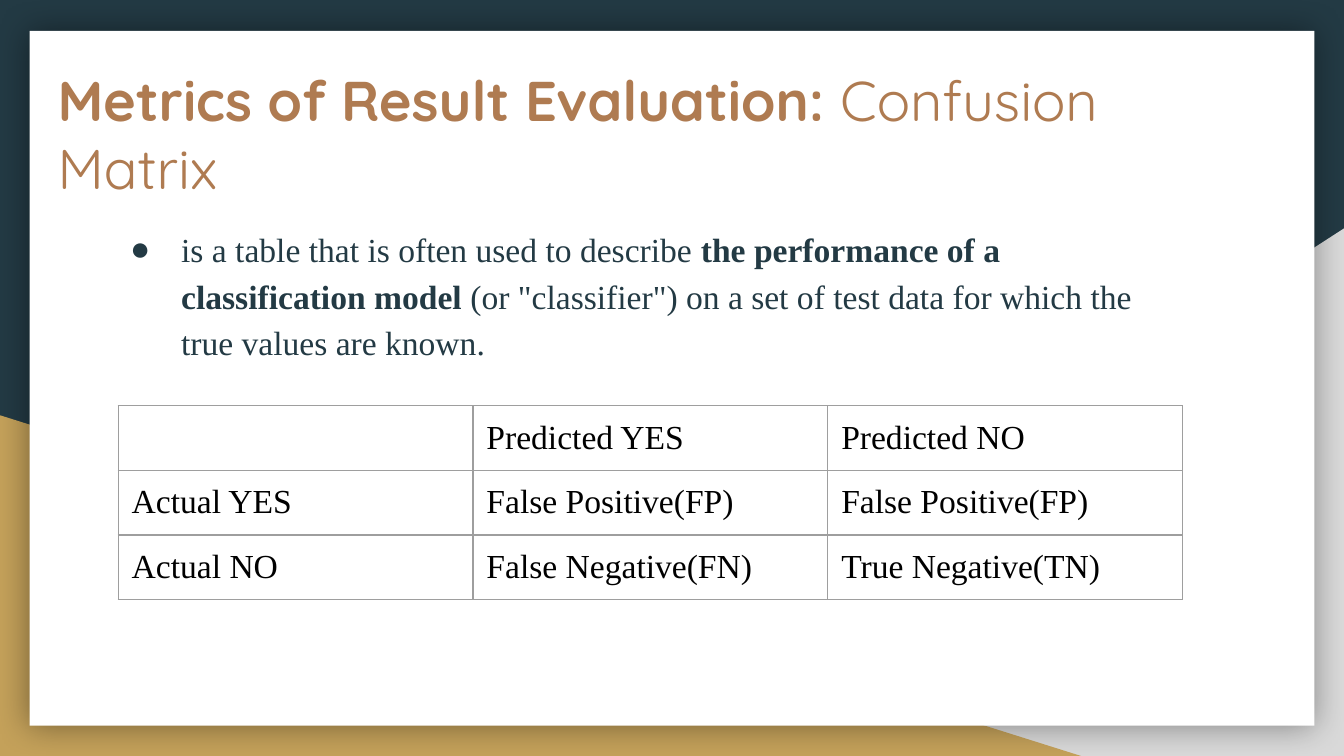
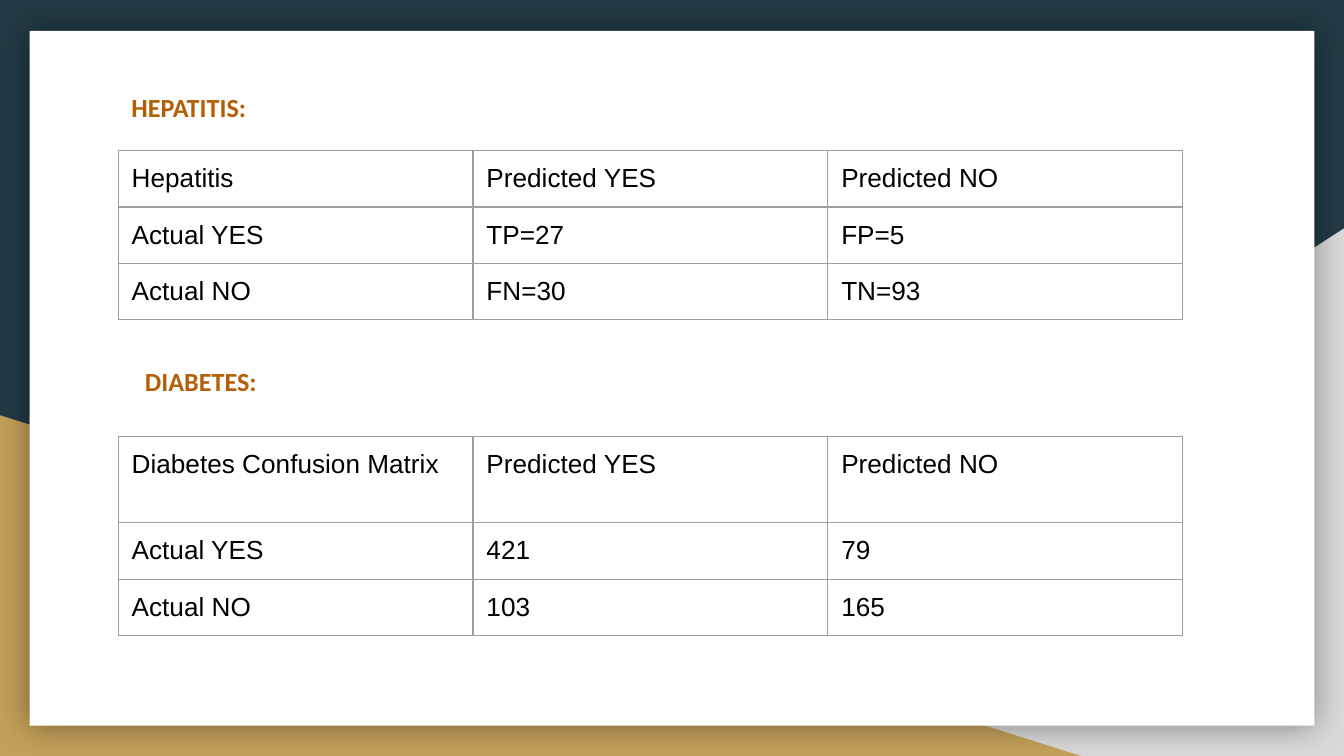
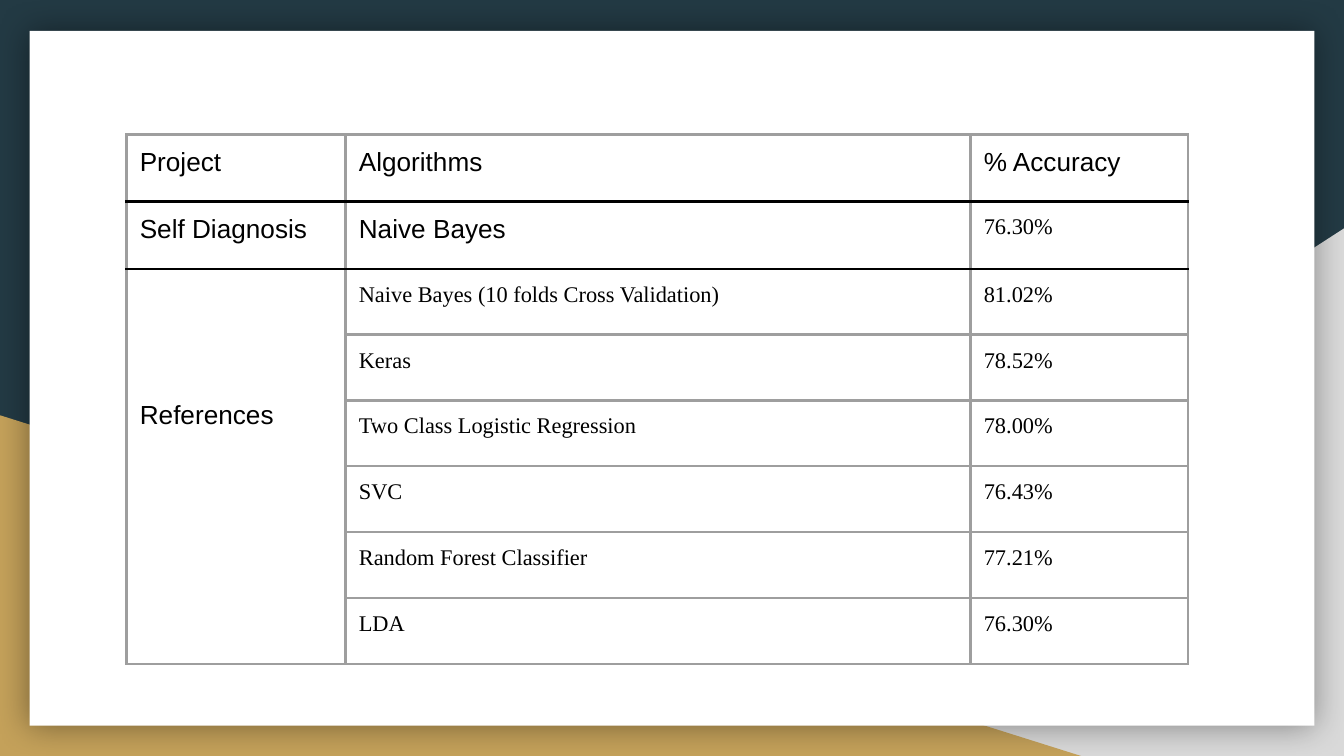
from lxml.etree import SubElement
from pptx import Presentation
from pptx.dml.color import RGBColor
from pptx.enum.shapes import MSO_SHAPE
from pptx.oxml.ns import qn
from pptx.util import Inches, Pt

WIDTH = 10
HEIGHT = WIDTH * 9 / 16
INSET = 0.1
COLORS = {
    "navy": "233A44", "gold": "C4A15A", "silver": "D9D9D9", "white": "FFFFFF",
    "title": "AF7B51", "label": "B45F06", "grid": "9E9E9E", "black": "000000",
}
SERIF, SANS = "Times New Roman", "Arial"
THIRDS = [2.64] * 3


def rgb(name):
    return RGBColor.from_string(COLORS[name])


def style_span(span, font, size, color, bold=False):
    span.font.name = font
    span.font.size = Pt(size)
    span.font.bold = bold
    span.font.color.rgb = rgb(color)


# Shared backdrop: two corner triangles and a white card
def add_panel(page, kind, left, top, width, height, color):
    panel = page.shapes.add_shape(
        kind, Inches(left), Inches(top), Inches(width), Inches(height))
    panel.shadow.inherit = False
    panel.fill.solid()
    panel.fill.fore_color.rgb = rgb(color)
    panel.line.fill.background()
    return panel


def add_glow(panel, blur, opacity):
    effects = panel._element.spPr.find(qn("a:effectLst"))
    shadow = SubElement(effects, qn("a:outerShdw"), blurRad=str(Pt(blur)),
                        dist="0", dir="0", algn="ctr", rotWithShape="0")
    color = SubElement(shadow, qn("a:srgbClr"), val=COLORS["black"])
    SubElement(color, qn("a:alpha"), val=str(opacity * 1000))


def add_page(deck):
    page = deck.slides.add_slide(deck.slide_layouts[6])
    page.background.fill.solid()
    page.background.fill.fore_color.rgb = rgb("navy")
    corner = add_panel(page, MSO_SHAPE.RIGHT_TRIANGLE, 3.92, 1.7, 6.08, 3.93, "silver")
    corner._element.spPr.xfrm.set("flipH", "1")
    add_panel(page, MSO_SHAPE.RIGHT_TRIANGLE, 0, 3.09, 8.06, 2.54, "gold")
    card = add_panel(page, MSO_SHAPE.RECTANGLE, 0.22, 0.23, 9.56, 5.17, "white")
    add_glow(card, 18, 40)
    return page


# Text: each part is a pair of wording and boldness
def add_text(page, left, top, width, height, parts, font, size, color):
    box = page.shapes.add_textbox(
        Inches(left), Inches(top), Inches(width), Inches(height))
    frame = box.text_frame
    frame.word_wrap = True
    frame.margin_left = frame.margin_right = Inches(INSET)
    frame.margin_top = frame.margin_bottom = Inches(INSET)
    para = frame.paragraphs[0]
    for wording, bold in parts:
        span = para.add_run()
        span.text = wording
        style_span(span, font, size, color, bold)
    return para


def add_bullet(para, color, font):
    para.line_spacing = 1.15
    settings = para._p.get_or_add_pPr()
    settings.set("marL", str(Inches(0.5)))
    settings.set("indent", str(Inches(-0.38)))
    bullet_color = SubElement(settings, qn("a:buClr"))
    SubElement(bullet_color, qn("a:srgbClr"), val=COLORS[color])
    SubElement(settings, qn("a:buFont"), typeface=font)
    SubElement(settings, qn("a:buChar"), char="●")


def add_label(page, left, top, wording):
    add_text(page, left, top, 1.77, 0.41, [(wording, True)], "Calibri", 14, "label")


# Tables
def set_borders(cell, weight, top="grid", bottom="grid"):
    sides = {"lnL": "grid", "lnR": "grid", "lnT": top, "lnB": bottom}
    for side, color in sides.items():
        line = SubElement(cell._tc.get_or_add_tcPr(), qn("a:" + side), w=str(Pt(weight)))
        fill = SubElement(line, qn("a:solidFill"))
        SubElement(fill, qn("a:srgbClr"), val=COLORS[color])


def fill_cell(cell, wording, font, size):
    cell.margin_left = cell.margin_right = cell.margin_top = Inches(INSET)
    cell.margin_bottom = Inches(0.08)  # keeps the rows at their set height
    cell.fill.background()
    cell.text_frame.text = wording
    para = cell.text_frame.paragraphs[0]
    for span in para.runs:
        style_span(span, font, size, "black")
    if not wording:
        SubElement(para._p, qn("a:endParaRPr"), sz=str(size * 100))


def add_grid(page, left, top, columns, heights, rows, font_at, weight=0.75, dark_rules=()):
    """font_at(row, column) gives font and size; dark_rules are rows with a black rule below."""
    frame = page.shapes.add_table(
        len(rows), len(columns), Inches(left), Inches(top),
        Inches(sum(columns)), Inches(sum(heights)))
    table = frame.table
    table.first_row = table.horz_banding = False
    for column, width in zip(table.columns, columns):
        column.width = Inches(width)
    for row, height in zip(table.rows, heights):
        row.height = Inches(height)
    for r, row in enumerate(rows):
        for c, wording in enumerate(row):
            cell = table.cell(r, c)
            set_borders(cell, weight,
                        top="black" if r - 1 in dark_rules else "grid",
                        bottom="black" if r in dark_rules else "grid")
            fill_cell(cell, wording, *font_at(r, c))
    return table


def confusion_rows(corner, actual_yes, actual_no):
    return [[corner, "Predicted YES", "Predicted NO"],
            ["Actual YES", *actual_yes],
            ["Actual NO", *actual_no]]


# Slides
def build_definition(deck):
    page = add_page(deck)
    add_text(page, 0.33, 0.39, 9.12, 0.72,
             [("Metrics of Result Evaluation: ", True), ("Confusion Matrix", False)],
             "Quicksand", 30, "title")
    para = add_text(page, 0.75, 1.56, 7.9, 1.25, [
        ("is a table that is often used to describe ", False),
        ("the performance of a classification model", True),
        (' (or "classifier") on a set of test data for which the true values are known.', False),
    ], SERIF, 18, "navy")
    add_bullet(para, "navy", SERIF)
    rows = confusion_rows("", ["False Positive(FP)"] * 2,
                          ["False Negative(FN)", "True Negative(TN)"])
    add_grid(page, 0.88, 3.02, THIRDS, [0.42] * 3, rows, lambda r, c: (SERIF, 18))


def build_matrices(deck):
    page = add_page(deck)
    hepatitis = confusion_rows("Hepatitis", ["TP=27", "FP=5"], ["FN=30", "TN=93"])
    diabetes = confusion_rows("Diabetes Confusion Matrix", ["421", "79"], ["103", "165"])
    for top, first_height, rows in [(1.12, 0.42, hepatitis), (3.25, 0.64, diabetes)]:
        add_grid(page, 0.88, top, THIRDS, [first_height, 0.42, 0.42], rows,
                 lambda r, c: (SANS, 14))
    add_label(page, 0.88, 0.58, "HEPATITIS:")
    add_label(page, 0.98, 2.62, "DIABETES:")


def build_accuracy(deck):
    page = add_page(deck)
    references = [
        ("Naive Bayes (10 folds Cross Validation)", "81.02%"),
        ("Keras", "78.52%"),
        ("Two Class Logistic Regression", "78.00%"),
        ("SVC", "76.43%"),
        ("Random Forest Classifier", "77.21%"),
        ("LDA", "76.30%"),
    ]
    rows = [["Project", "Algorithms", "% Accuracy"],
            ["Self Diagnosis", "Naive Bayes", "76.30%"]]
    rows += [["" if i else "References", *entry] for i, entry in enumerate(references)]

    def font_at(r, c):
        is_heading = r == 0 or c == 0 or (r, c) == (1, 1)
        return (SANS, 14) if is_heading else (SERIF, 12)

    table = add_grid(page, 0.94, 1, [1.63, 4.65, 1.62], [0.5] * 2 + [0.49] * 6,
                     rows, font_at, weight=1.5, dark_rules=(0, 1))
    group = table.cell(2, 0)
    group.merge(table.cell(len(rows) - 1, 0))
    group.margin_top = Inches(0.98)


def main():
    deck = Presentation()
    deck.slide_width, deck.slide_height = Inches(WIDTH), Inches(HEIGHT)
    build_definition(deck)
    build_matrices(deck)
    build_accuracy(deck)
    deck.save("out.pptx")


if __name__ == "__main__":
    main()
